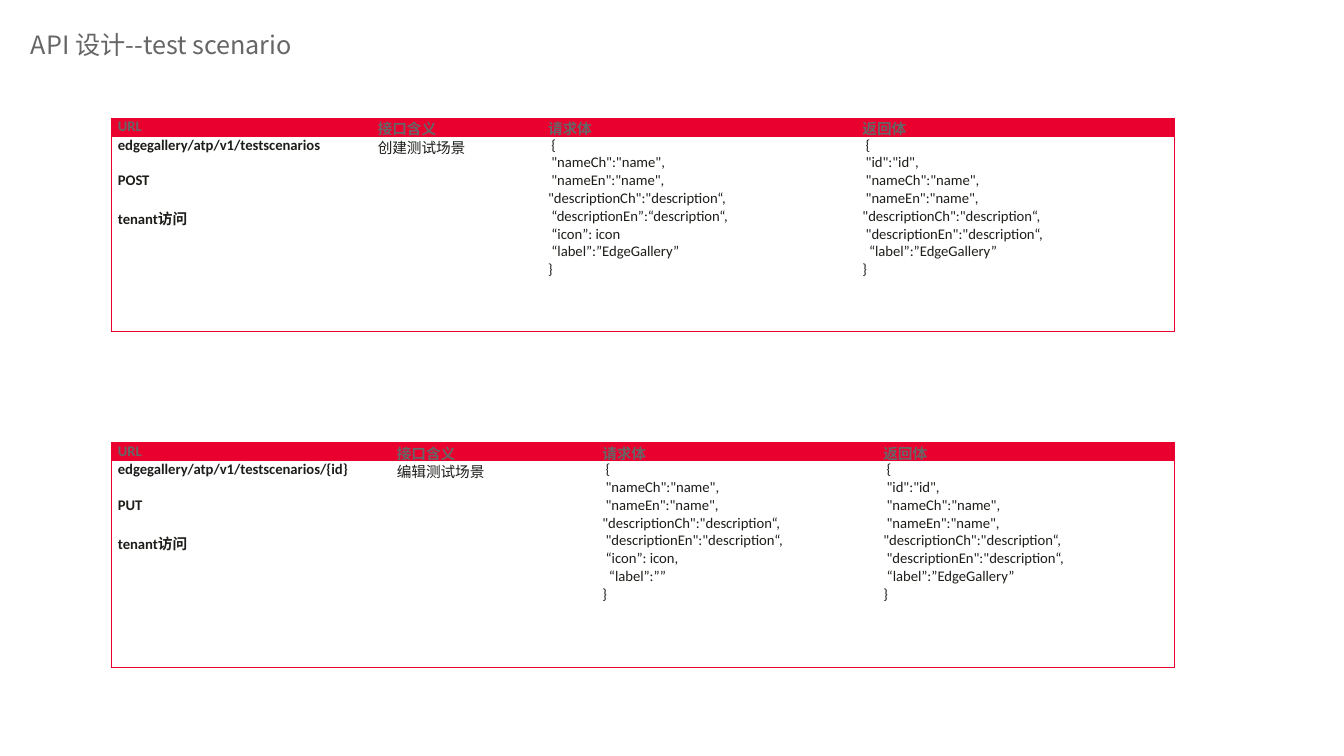
from dataclasses import dataclass
from lxml.etree import SubElement
from pptx import Presentation
from pptx.dml.color import RGBColor
from pptx.enum.text import PP_ALIGN
from pptx.oxml.ns import qn
from pptx.util import Emu, Inches, Pt

HUE = {"red": "E9002F", "grey": "666666", "ink": "1D1D1A"}
WIDE, HIGH = Inches(13.34), Inches(7.5)
HEADS = ("URL", "接口含义", "请求体", "返回体")
PAD = {"margin_left": Inches(0.07), "margin_right": Inches(0.07),
       "margin_top": 0, "margin_bottom": 0}
CELL = {"size": Pt(10.5), "name": "Calibri"}
TITLE = {"size": Pt(18), "name": "Noto Sans CJK SC"}
GAP = Pt(12.8)


@dataclass
class Api:
    """One interface table, with lengths in percent of the slide."""
    top: float
    cols: tuple[float, ...]
    rows: tuple[float, float]
    call: tuple[str, ...]
    goal: str
    ask: str
    reply: str


APIS = (
    Api(15.6, (19.34, 12.67, 23.39, 23.76), (2.4, 25.87),
        ("edgegallery/atp/v1/testscenarios", "POST", "tenant访问"),
        "创建测试场景",
        """ {
 "nameCh":"name",
 "nameEn":"name",
"descriptionCh":"description“,
 “descriptionEn”:“description“,
 “icon”: icon
 “label”:”EdgeGallery”
}""",
        """ {
 "id":"id",
 "nameCh":"name",
 "nameEn":"name",
"descriptionCh":"description“,
 "descriptionEn":"description“,
  “label”:”EdgeGallery”
}"""),
    Api(58.53, (20.76, 15.29, 20.91, 22.19), (2.4, 27.33),
        ("edgegallery/atp/v1/testscenarios/{id}", "PUT", "tenant访问"),
        "编辑测试场景",
        """ {
 "nameCh":"name",
 "nameEn":"name",
"descriptionCh":"description“,
 "descriptionEn":"description“,
 “icon”: icon,
  “label”:””
}""",
        """ {
 "id":"id",
 "nameCh":"name",
 "nameEn":"name",
"descriptionCh":"description“,
 "descriptionEn":"description“,
 “label”:”EdgeGallery”
}"""),
)


def across(part: float) -> Emu:
    """Turn a percent of the slide width into a length."""
    return Emu(round(WIDE * part / 100))


def down(part: float) -> Emu:
    """Turn a percent of the slide height into a length."""
    return Emu(round(HIGH * part / 100))


def apply(item: object, form: dict) -> None:
    """Set each format value on the item."""
    for key, val in form.items():
        setattr(item, key, val)


def write(frame, lines: tuple[str, ...], form: dict, hue: str,
          gap: Emu = Pt(0), **para_form) -> None:
    """Write one paragraph per line, with a gap between them."""
    for num, line in enumerate(lines):
        para = frame.add_paragraph() if num else frame.paragraphs[0]
        apply(para, para_form)
        if num and gap:
            para.space_before = gap
        run = para.add_run()
        run.text = line
        apply(run.font, form)
        run.font.color.rgb = RGBColor.from_string(HUE[hue])


def edge(cell, sides: str) -> None:
    """Draw red lines on the given sides and clear the others."""
    props = cell._tc.get_or_add_tcPr()
    for num, side in enumerate("LRTB"):
        line = SubElement(props, qn(f"a:ln{side}"), w=str(Pt(0.5)))
        props.insert(num, line)
        if side in sides:
            fill = SubElement(line, qn("a:solidFill"))
            SubElement(fill, qn("a:srgbClr"), val=HUE["red"])
        else:
            SubElement(line, qn("a:noFill"))


def draw(slide, api: Api) -> None:
    """Draw one interface table."""
    grid = slide.shapes.add_table(
        2, len(HEADS), across(8.25), down(api.top),
        across(sum(api.cols)), down(sum(api.rows))).table
    apply(grid, {"first_row": False, "horz_banding": False})
    for col, part in zip(grid.columns, api.cols):
        col.width = across(part)
    for row, part in zip(grid.rows, api.rows):
        row.height = down(part)
    body = (api.call, (api.goal,), tuple(api.ask.split("\n")),
            tuple(api.reply.split("\n")))
    for num, (head, lines) in enumerate(zip(HEADS, body)):
        side = {0: "L", len(HEADS) - 1: "R"}.get(num, "")
        first = num == 0
        for row, text in enumerate(((head,), lines)):
            cell = grid.cell(row, num)
            apply(cell, PAD)
            write(cell.text_frame, text, CELL | {"bold": not row or first},
                  "ink" if row else "grey", GAP if row and first else Pt(0),
                  alignment=PP_ALIGN.JUSTIFY)
            if row:
                cell.fill.background()
            else:
                cell.fill.solid()
                cell.fill.fore_color.rgb = RGBColor.from_string(HUE["red"])
            edge(cell, side + ("TB" if row else "T"))


def main() -> None:
    """Build and save the slide."""
    deck = Presentation()
    apply(deck, {"slide_width": WIDE, "slide_height": HIGH})
    slide = deck.slides.add_slide(deck.slide_layouts[6])
    box = slide.shapes.add_textbox(across(1.57), down(0.8),
                                   across(27.89), down(7.73))
    box.text_frame.word_wrap = True
    write(box.text_frame, ("API 设计--test scenario",), TITLE, "grey",
          line_spacing=Pt(34.4))
    for api in APIS:
        draw(slide, api)
    deck.save("out.pptx")


if __name__ == "__main__":
    main()
